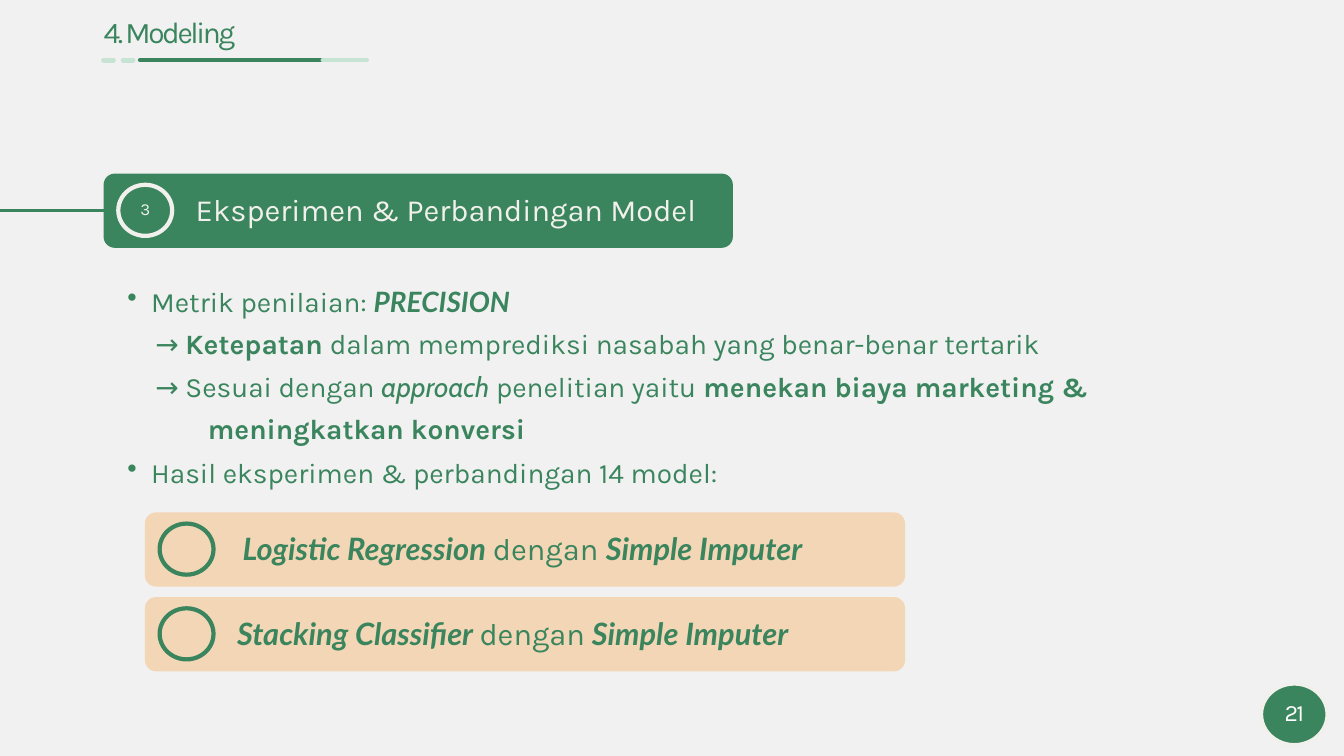
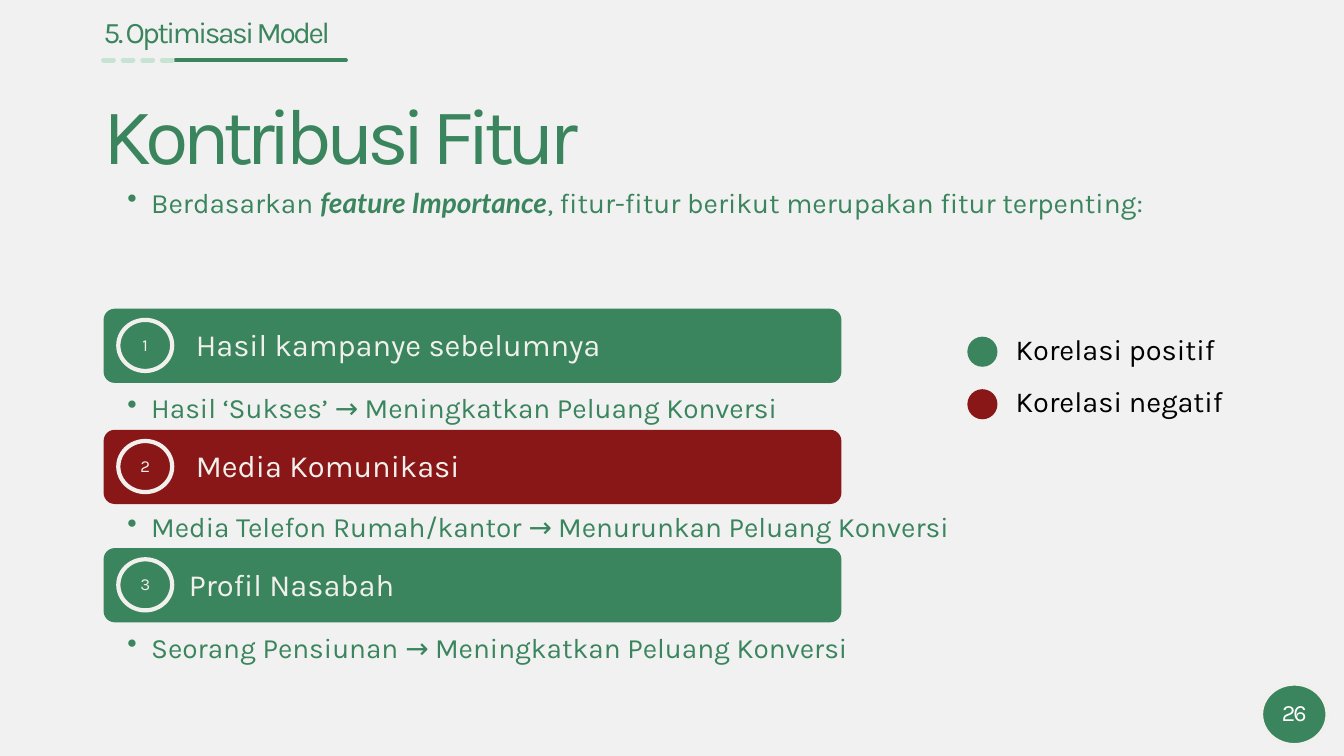
from pptx import Presentation
from pptx import util as u
from pptx.dml.color import RGBColor
from pptx.enum import dml, shapes, text
from pptx.oxml.ns import qn
from lxml import etree

PX = 9525
GREEN = RGBColor(0x3A, 0x85, 0x5D)
MINT = RGBColor(0xC6, 0xE3, 0xD3)
RED = RGBColor(0x8A, 0x17, 0x17)
PEACH = RGBColor(0xF3, 0xD6, 0xB5)
CREAM = RGBColor(0xF1, 0xF0, 0xEC)
PAPER = RGBColor(0xF1, 0xF1, 0xF1)
WHITE = RGBColor(0xFF, 0xFF, 0xFF)
BLACK = RGBColor(0, 0, 0)

REGULAR = ("Karla", False, False)
BOLD = ("Karla", True, False)
STRONG = ("Lato", True, True)
TERM = ("Cabin", False, True)

PLAIN = (0, 0, "")
BULLET = (68, -34, "•")
ARROW = (149, -75, "")

LEFT = 148
OVAL = shapes.MSO_SHAPE.OVAL
ROUNDED = shapes.MSO_SHAPE.ROUNDED_RECTANGLE
MIDDLE = text.MSO_ANCHOR.MIDDLE
CENTER = text.PP_ALIGN.CENTER


def put(s, kind, x, y, w, h, fill=None, outline=None, weight=4.5):
    box = [v * PX for v in (x, y, w, h)]
    if kind is None:
        return s.shapes.add_textbox(*box)
    sp = s.shapes.add_shape(kind, *box)
    sp.shadow.inherit = False
    sp.fill.solid()
    sp.fill.fore_color.rgb = fill
    if outline is None:
        sp.line.fill.background()
    else:
        sp.line.color.rgb = outline
        sp.line.width = u.Pt(weight)
    return sp


def write(sp, paras, size, color, leading, spacing=0, margins=(0, 0, 0, 0),
          align=text.PP_ALIGN.LEFT, anchor=text.MSO_ANCHOR.TOP):
    tf = sp.text_frame
    tf.word_wrap = True
    tf.auto_size = text.MSO_AUTO_SIZE.NONE
    tf.vertical_anchor = anchor
    tf.margin_left, tf.margin_top, tf.margin_right, tf.margin_bottom = [m * PX for m in margins]
    for i, (layout, runs) in enumerate(paras):
        p = tf.paragraphs[0] if i == 0 else tf.add_paragraph()
        p.alignment = align
        p.line_spacing = u.Pt(leading)
        indent, first, bullet = layout
        pPr = p._p.get_or_add_pPr()
        pPr.set("marL", str(indent * PX))
        pPr.set("indent", str(first * PX))
        if bullet:
            etree.SubElement(pPr, qn("a:buChar")).set("char", bullet)
        for words, (name, bold, italic) in runs:
            r = p.add_run()
            r.text = words
            r.font.name, r.font.bold, r.font.italic = name, bold, italic
            r.font.size = u.Pt(size)
            r.font.color.rgb = color
            if spacing:
                r._r.get_or_add_rPr().set("spc", str(round(spacing * 100)))


prs = Presentation()
prs.slide_width = 1920 * PX
prs.slide_height = 1080 * PX
prs.slide_master.background.fill.solid()
prs.slide_master.background.fill.fore_color.rgb = PAPER

pages = [
    ("4. Modeling", "21", [(200, 461, GREEN), (461, 524, MINT)], 200),
    ("5. Optimisasi Model", "26", [(251, 494, GREEN)], 251),
]
for section, number, rules, dash_end in pages:
    s = prs.slides.add_slide(prs.slide_layouts[5])
    title = s.shapes.title
    title.left, title.top, title.width, title.height = [v * PX for v in (LEFT, 30, 393, 43)]
    write(title, [(PLAIN, [(section, REGULAR)])], 32, GREEN, 30.7, -2.6)
    for start, end, color in rules + [(LEFT, dash_end, MINT)]:
        c = s.shapes.add_connector(shapes.MSO_CONNECTOR.STRAIGHT,
                                   start * PX, 86 * PX, end * PX, 86 * PX)
        c.line.color.rgb = color
        c.line.width = u.Pt(4.5)
        if start == LEFT:
            c.line.width = u.Pt(5.25)
            c.line.dash_style = dml.MSO_LINE.SQUARE_DOT
        c._element.spPr.find(qn("a:ln")).set("cap", "rnd")
        etree.SubElement(c._element.spPr, qn("a:effectLst"))
    badge = put(s, OVAL, 1802, 977, 94, 87, GREEN, CREAM, 3.75)
    write(badge, [(PLAIN, [(number, REGULAR)])], 25, WHITE, 19.2, -2,
          (0, 8, 0, 0), CENTER, MIDDLE)

modeling, features = prs.slides

bars = [
    (modeling, LEFT, 248, 899, GREEN, CREAM, "3", 127,
     [("Eksperimen & Perbandingan Model", REGULAR)]),
    (modeling, 207, 732, 1086, PEACH, GREEN, "", 135,
     [("Logistic Regression ", STRONG), ("dengan ", REGULAR), ("Simple Imputer", STRONG)]),
    (modeling, 207, 853, 1086, PEACH, GREEN, "", 127,
     [("Stacking Classifier ", STRONG), ("dengan", REGULAR), (" Simple Imputer", STRONG)]),
    (features, LEFT, 441, 1054, GREEN, CREAM, "1", 127,
     [("Hasil kampanye sebelumnya", REGULAR)]),
    (features, LEFT, 614, 1054, RED, CREAM, "2", 127,
     [("Media Komunikasi", REGULAR)]),
    (features, LEFT, 783, 1054, GREEN, CREAM, "3", 117,
     [("Profil Nasabah", REGULAR)]),
]
bar_shapes = []
for s, x, y, w, fill, ink, number, inset, runs in bars:
    bar = put(s, ROUNDED, x, y, w, 106, fill)
    bar.adjustments[0] = 0.15
    write(bar, [(PLAIN, runs)], 33, ink, 39.9, 0, (inset, 5, 5, 9), anchor=MIDDLE)
    bar_shapes.append(bar)
    ring = put(s, OVAL, x + 21, y + 16, 77, 73, fill, ink)
    if number:
        write(ring, [(PLAIN, [(number, REGULAR)])], 18, ink, 13.9, -1.5,
              (0, 7, 0, 0), CENTER, MIDDLE)

c = modeling.shapes.add_connector(shapes.MSO_CONNECTOR.STRAIGHT,
                                  0, 301 * PX, LEFT * PX, 301 * PX)
c.end_connect(bar_shapes[0], 1)
c.line.color.rgb = GREEN
c.line.width = u.Pt(3)
etree.SubElement(c._element.spPr, qn("a:effectLst"))

bodies = [
    (modeling, 394, 1506, 239, [
        (BULLET, [("Metrik penilaian: ", REGULAR), ("PRECISION", STRONG)]),
        (ARROW, [("→ ", REGULAR), ("Ketepatan ", BOLD),
                 ("dalam memprediksi nasabah yang benar-benar tertarik", REGULAR)]),
        (ARROW, [("→ Sesuai dengan ", REGULAR), ("approach", TERM),
                 (" penelitian yaitu", REGULAR),
                 (" menekan biaya marketing & meningkatkan konversi", BOLD)]),
    ]),
    (modeling, 638, 1506, 58,
     [(BULLET, [("Hasil eksperimen & perbandingan 14 model:", REGULAR)])]),
    (features, 252, 1506, 119,
     [(BULLET, [("Berdasarkan ", REGULAR), ("feature Importance", STRONG),
                (", fitur-fitur berikut merupakan fitur terpenting:", REGULAR)])]),
    (features, 546, 1054, 58,
     [(BULLET, [("Hasil ‘Sukses’ → Meningkatkan Peluang Konversi", REGULAR)])]),
    (features, 716, 1304, 58,
     [(BULLET, [("Media Telefon Rumah/kantor → Menurunkan Peluang Konversi", REGULAR)])]),
    (features, 888, 1304, 58,
     [(BULLET, [("Seorang Pensiunan → Meningkatkan Peluang Konversi", REGULAR)])]),
]
for s, y, w, h, paras in bodies:
    write(put(s, None, LEFT, y, w, h), paras, 30, GREEN, 45.3)

heading = put(features, None, LEFT, 149, 1105, 115)
write(heading, [(PLAIN, [("Kontribusi Fitur", REGULAR)])], 85, GREEN, 81.6, -7)

legend = [("Korelasi positif", GREEN), ("Korelasi negatif", RED)]
for i, (label, color) in enumerate(legend):
    y = 481 + 75 * i
    put(features, OVAL, 1382, y, 43, 43, color)
    write(put(features, None, 1451, y - 8, 304, 52), [(PLAIN, [(label, REGULAR)])],
          31, BLACK, 37.5)

prs.save("out.pptx")
